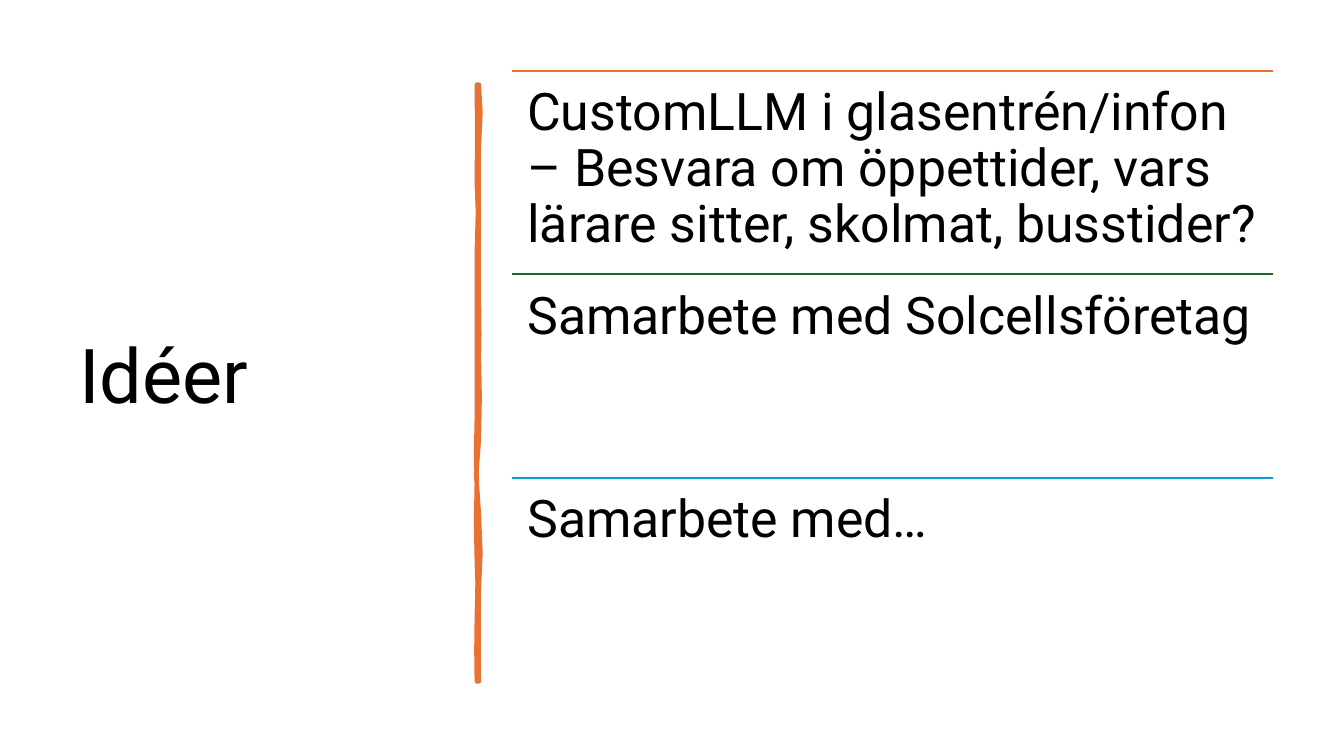
from lxml import etree
from pptx import Presentation
from pptx.dml.color import RGBColor
from pptx.enum.shapes import MSO_CONNECTOR
from pptx.enum.text import MSO_ANCHOR
from pptx.oxml.ns import qn
from pptx.util import Inches, Pt

STRAIGHT = MSO_CONNECTOR.STRAIGHT
TOP, MIDDLE = MSO_ANCHOR.TOP, MSO_ANCHOR.MIDDLE
FONT = "Roboto"
BLACK, ORANGE, GREEN, BLUE = "000000", "E97132", "196B24", "0F9ED5"

IDEAS = [
    (ORANGE, "CustomLLM i glasentrén/infon – Besvara om öppettider, "
             "vars lärare sitter, skolmat, busstider?"),
    (GREEN, "Samarbete med Solcellsföretag"),
    (BLUE, "Samarbete med…"),
]

RIGHT_EDGE, LEFT_EDGE = 4.75, 4.73
BRUSH_TOP, BRUSH_BOTTOM = 0.84, 6.76
DOWNSTROKE = [
    (4.77, 1.02, 4.77, 1.19, 1.46), (4.73, 1.73, 4.76, 1.95, 2.26),
    (4.74, 2.57, 4.75, 2.62, 2.94), (4.74, 3.25, 4.77, 3.42, 3.56),
    (4.73, 3.7, 4.79, 4.14, 4.36), (4.71, 4.57, 4.72, 4.84, 5.1),
    (4.77, 5.36, 4.77, 5.64, 5.84), (4.73, 6.03, 4.76, 6.5, 6.76),
]
UPSTROKE = [
    (4.74, 6.46, 4.71, 6.44, 6.13), (4.74, 5.83, 4.74, 5.7, 5.57),
    (4.72, 5.44, 4.72, 4.95, 4.77), (4.73, 4.59, 4.71, 4.45, 4.15),
    (4.74, 3.86, 4.72, 3.73, 3.35), (4.74, 2.98, 4.72, 2.81, 2.5),
    (4.74, 2.18, 4.75, 2, 1.81), (4.7, 1.63, 4.77, 1.04, 0.84),
]


def color(hex_value):
    return RGBColor.from_string(hex_value)


def add_text(slide, box, words, size, anchor, inset_x, inset_y):
    textbox = slide.shapes.add_textbox(*map(Inches, box))
    frame = textbox.text_frame
    frame.word_wrap = True
    frame.vertical_anchor = anchor
    frame.margin_left = frame.margin_right = Inches(inset_x)
    frame.margin_top = frame.margin_bottom = Inches(inset_y)
    frame.text = words
    paragraph = frame.paragraphs[0]
    paragraph.line_spacing = 0.9
    font = paragraph.runs[0].font
    font.name, font.size = FONT, Pt(size)
    font.color.rgb = color(BLACK)


def edge_points(edge_x, start_y, curves, steps=2):
    points = []
    for x1, y1, x2, y2, end_y in curves:
        for step in range(1, steps + 1):
            t = step / steps
            u = 1 - t
            a, b, c, d = u**3, 3 * u * u * t, 3 * u * t * t, t**3
            points.append((Inches(a * edge_x + b * x1 + c * x2 + d * edge_x),
                           Inches(a * start_y + b * y1 + c * y2 + d * end_y)))
        start_y = end_y
    return points


def add_brush_divider(slide):
    outline = slide.shapes.build_freeform(Inches(RIGHT_EDGE), Inches(BRUSH_TOP))
    outline.add_line_segments(
        edge_points(RIGHT_EDGE, BRUSH_TOP, DOWNSTROKE)
        + [(Inches(LEFT_EDGE), Inches(BRUSH_BOTTOM))]
        + edge_points(LEFT_EDGE, BRUSH_BOTTOM, UPSTROKE), close=True)
    brush = outline.convert_to_shape()
    brush.shadow.inherit = False
    brush.fill.solid()
    brush.fill.fore_color.rgb = color(ORANGE)
    brush.line.color.rgb = color(ORANGE)
    brush.line.width = Pt(3.25)


def add_rule(slide, left, top, width, rule_color):
    rule = slide.shapes.add_connector(
        STRAIGHT, Inches(left), Inches(top), Inches(left + width), Inches(top))
    rule.line.color.rgb = color(rule_color)
    rule.line.width = Pt(1.5)
    etree.SubElement(rule._element.spPr, qn("a:effectLst"))


def add_idea_list(slide, box, ideas):
    left, top, width, height = box
    row_height = height / len(ideas)
    for row, (rule_color, idea) in enumerate(ideas):
        row_top = top + row * row_height
        add_rule(slide, left, row_top, width, rule_color)
        add_text(slide, (left, row_top, width, row_height), idea, 37, TOP, 0.15, 0.15)


def main():
    deck = Presentation()
    deck.slide_width, deck.slide_height = Inches(13.33), Inches(7.5)
    slide = deck.slides.add_slide(deck.slide_layouts[6])
    add_text(slide, (0.69, 0.7, 3.74, 6.11), "Idéer", 54, MIDDLE, 0.1, 0.05)
    add_brush_divider(slide)
    add_idea_list(slide, (5.08, 0.7, 7.55, 6.06), IDEAS)
    deck.save("out.pptx")


if __name__ == "__main__":
    main()
